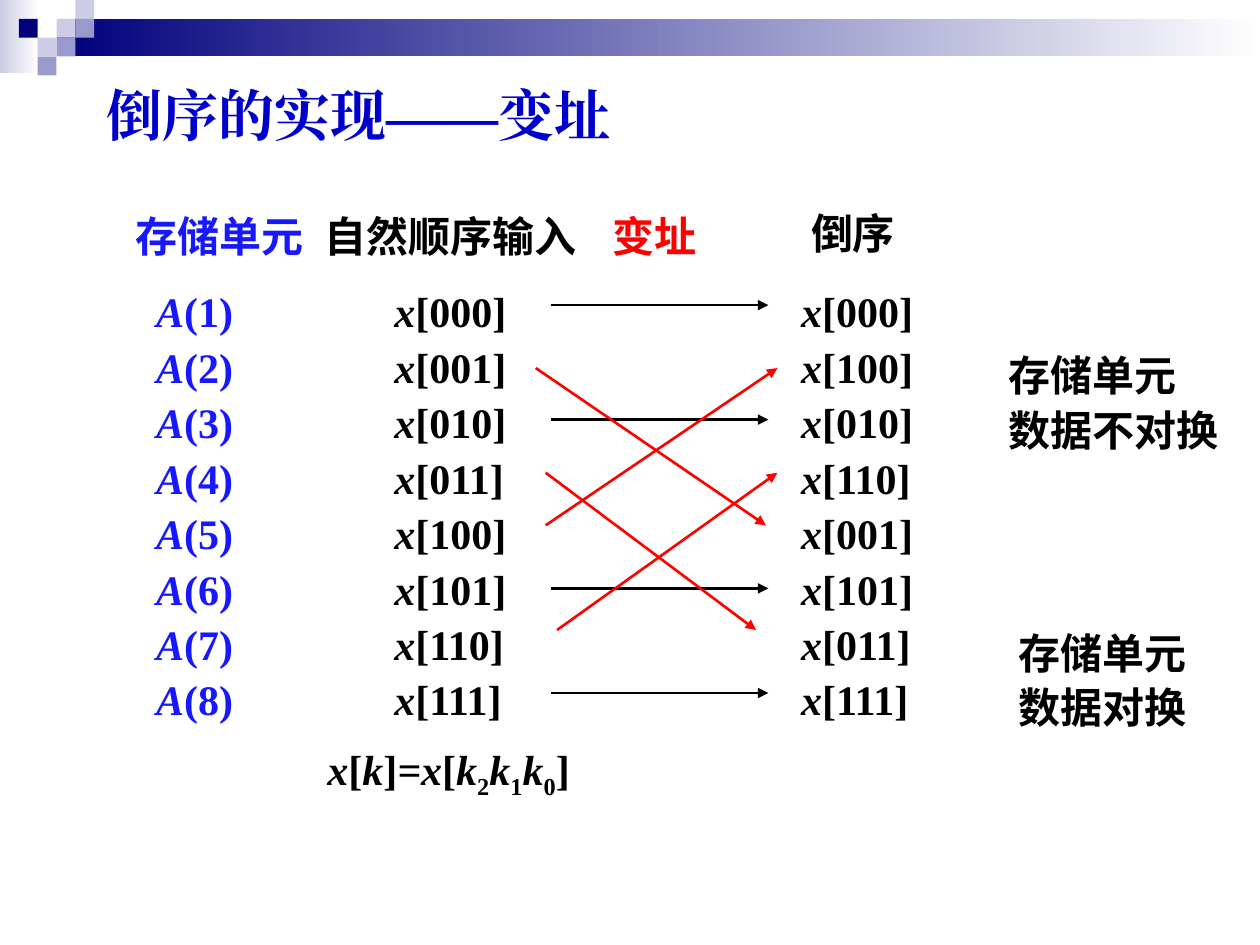
from lxml import etree
from pptx import Presentation
from pptx import util as u
from pptx.dml.color import RGBColor
from pptx.enum import shapes, text
from pptx.oxml import ns

NAVY = RGBColor(0x00, 0x00, 0x7D)
LAVENDER = RGBColor(0xCC, 0xCC, 0xE6)
PERIWINKLE = RGBColor(0x99, 0x99, 0xCC)
WHITE = RGBColor(0xFF, 0xFF, 0xFF)
TITLE_BLUE = RGBColor(0x00, 0x00, 0xCC)
BLUE = RGBColor(0x18, 0x18, 0xFF)
RED = RGBColor(0xFF, 0x00, 0x00)
BLACK = RGBColor(0x00, 0x00, 0x00)
SERIF = "Times New Roman"
SANS = "Arial"

presentation = Presentation()
presentation.slide_width = u.Cm(25.4)
presentation.slide_height = u.Cm(19.05)
slide = presentation.slides.add_slide(presentation.slide_layouts[6])


def add_rectangle(left, top, width, height):
    shape = slide.shapes.add_shape(
        shapes.MSO_SHAPE.RECTANGLE, u.Cm(left), u.Cm(top), u.Cm(width), u.Cm(height))
    shape.shadow.inherit = False
    shape.line.fill.background()
    return shape


def add_text(box, paragraphs, font_name, color, size=24, line_spacing=None, gap=0):
    """Each paragraph is a list of (text, style) with style "", "italic" or "sub"."""
    shape = slide.shapes.add_textbox(*[u.Cm(length) for length in box])
    frame = shape.text_frame
    frame.word_wrap = True
    for index, pieces in enumerate(paragraphs):
        paragraph = frame.add_paragraph() if index else frame.paragraphs[0]
        if line_spacing:
            paragraph.line_spacing = line_spacing
        if index and gap:
            paragraph.space_before = u.Pt(gap)
        for content, style in pieces:
            run = paragraph.add_run()
            run.text = content
            run.font.name = font_name
            run.font.size = u.Pt(size)
            run.font.bold = True
            run.font.italic = style == "italic"
            run.font.color.rgb = color
            properties = run._r.get_or_add_rPr()
            etree.SubElement(properties, ns.qn("a:ea"), typeface=font_name)
            if style == "sub":
                properties.set("baseline", "-25000")
    return frame


# Header bands and corner squares
for box, start_color in [((0, 0, 0.79, 1.47), LAVENDER),
                         ((1.14, 0.38, 24.26, 0.76), NAVY)]:
    fill = add_rectangle(*box).fill
    fill.gradient()
    fill.gradient_angle = 0
    for stop, position, color in zip(fill.gradient_stops, (0, 1), (start_color, WHITE)):
        stop.position = position
        stop.color.rgb = color

SQUARE = 0.38
for column, row, color in [(3, 1, LAVENDER), (4, 0, LAVENDER), (4, 1, PERIWINKLE),
                           (2, 2, LAVENDER), (1, 1, NAVY), (3, 2, PERIWINKLE),
                           (2, 3, PERIWINKLE)]:
    square = add_rectangle(column * SQUARE, row * SQUARE, SQUARE, SQUARE)
    square.fill.solid()
    square.fill.fore_color.rgb = color

title = add_text((1.9, 0.71, 21.59, 3.18), [[("倒序的实现——变址", "")]],
                 SERIF, TITLE_BLUE, size=32)
title.vertical_anchor = text.MSO_ANCHOR.MIDDLE

# Column headings
for heading, left, top, width, color in [("存储单元", 2.49, 4.11, 4.19, BLUE),
                                         ("自然顺序输入", 6.3, 4.11, 6.4, BLACK),
                                         ("变址", 12.09, 4.11, 4.39, RED),
                                         ("倒序", 16.1, 4.06, 4.39, BLACK)]:
    add_text((left, top, width, 1.27), [[(heading, "")]], SANS, color)

# Storage cells, natural order and bit-reversed order
bits = [f"{number:03b}" for number in range(8)]
for letter, labels, left, width, color in [
        ("A", [f"({number})" for number in range(1, 9)], 2.9, 2.39, BLUE),
        ("x", [f"[{code}]" for code in bits], 7.7, 3.81, BLACK),
        ("x", [f"[{code[::-1]}]" for code in bits], 15.9, 3.4, BLACK)]:
    rows = [[(letter, "italic"), (label, "")] for label in labels]
    add_text((left, 5.54, width, 9.19), rows, SERIF, color, line_spacing=1.1)

formula = [("x", "italic"), ("[", ""), ("k", "italic"), ("]", ""),
           ("=x", "italic"), ("[", "")]
for digit in "210":
    formula += [("k", "italic"), (digit, "sub")]
formula.append(("]", ""))
add_text((6.35, 14.86, 5.54, 1.3), [formula], SERIF, BLACK)

# Notes on the right
for left, top, width, note in [(20.09, 6.93, 4.9, "数据不对换"),
                               (20.29, 12.52, 4.19, "数据对换")]:
    add_text((left, top, width, 2.41), [[("存储单元", "")], [(note, "")]],
             SANS, BLACK, gap=2.4)

# Arrows: black cells stay, red cells swap
arrows = [(11.1, y, 15.49, y, BLACK) for y in (6.15, 8.46, 11.86, 13.97)]
arrows += [(10.8, 7.42, 15.44, 10.59, RED), (11, 9.53, 15.24, 12.7, RED),
           (11, 10.59, 15.67, 7.42, RED), (11.23, 12.7, 15.67, 9.53, RED)]
for *ends, color in arrows:
    arrow = slide.shapes.add_connector(
        shapes.MSO_CONNECTOR.STRAIGHT, *[u.Cm(length) for length in ends])
    arrow.line.color.rgb = color
    arrow.line.width = u.Pt(1.5)
    etree.SubElement(arrow.line._get_or_add_ln(), ns.qn("a:tailEnd"), type="triangle")
    etree.SubElement(arrow._element.spPr, ns.qn("a:effectLst"))

presentation.save("out.pptx")
